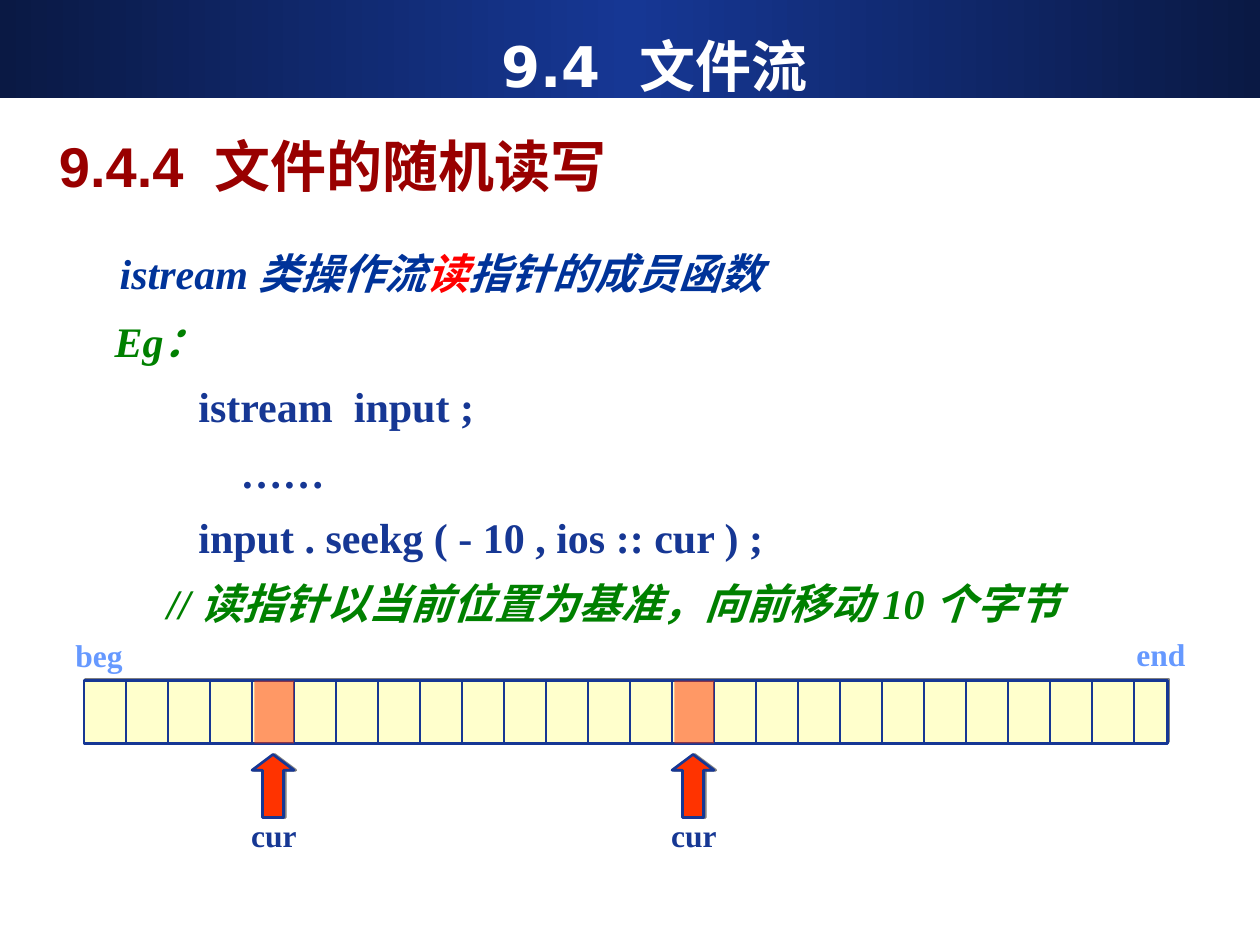
import copy

import pptx
import pptx.dml.color
import pptx.enum.shapes
import pptx.enum.text
import pptx.oxml
import pptx.oxml.ns
import pptx.util

Cm = pptx.util.Cm
Pt = pptx.util.Pt
SHAPE = pptx.enum.shapes.MSO_SHAPE
ALIGN = pptx.enum.text.PP_ALIGN
ANCHOR = pptx.enum.text.MSO_ANCHOR
AUTO = pptx.enum.text.MSO_AUTO_SIZE

COLORS = {
    "navy": "163794", "night": "0A1944", "white": "FFFFFF", "cream": "FFFFCC",
    "blue": "003399", "red": "FF0000", "green": "008000", "maroon": "990000",
    "sky": "6699FF", "orange": "FF3300", "gray": "808080",
}
SERIF = "Times New Roman"
CELL = 2.54 / 3
STRIP_LEFT, STRIP_TOP, STRIP_WIDTH, STRIP_HEIGHT = 2 * CELL, 13.72, 21.84, 1.27
CELL_COUNT = 26


def rgb(name):
    """Return the named colour."""
    return pptx.dml.color.RGBColor.from_string(COLORS[name])


def apply(target, values):
    """Set each attribute of the target from a dict."""
    for key, value in values.items():
        setattr(target, key, value)


class SlideBuilder:
    """Holds the slide, its style and the shapes being added to."""

    def __init__(self, slide):
        self.slide = slide
        self.shapes = slide.shapes
        self.line_width = Pt(1.5)

    def start_group(self):
        """Send the next elements to a new group."""
        self.shapes = self.slide.shapes.add_group_shape().shapes

    def end_group(self):
        """Send the next elements to the slide itself."""
        self.shapes = self.slide.shapes

    def band(self, width, height):
        """Add the title band behind everything, dark at both ends."""
        band = self.shapes.add_shape(SHAPE.RECTANGLE, 0, 0, Cm(width), Cm(height))
        band.shadow.inherit = False
        band.line.fill.background()
        band.fill.gradient()
        band.fill.gradient_angle = 0
        first = band.fill.gradient_stops[0]._gs
        first.addnext(copy.deepcopy(first))
        for stop, name, position in zip(band.fill.gradient_stops,
                                        ("night", "navy", "night"), (0, 0.5, 1)):
            stop.color.rgb = rgb(name)
            stop.position = position
        self.slide.shapes._spTree.insert(2, band._element)

    def box(self, kind, left, top, width, height, fill, outlined=True,
            alpha=None, shadow=None):
        """Add a filled preset shape; shadow is (distance in pt, angle)."""
        shape = self.shapes.add_shape(kind, Cm(left), Cm(top), Cm(width), Cm(height))
        shape.shadow.inherit = False
        shape.fill.solid()
        shape.fill.fore_color.rgb = rgb(fill)
        if outlined:
            shape.line.color.rgb = rgb("navy")
            shape.line.width = self.line_width
        else:
            shape.line.fill.background()
        properties = shape._element.spPr
        if alpha is not None:
            color = properties.find(".//" + pptx.oxml.ns.qn("a:srgbClr"))
            self.add_xml(color, f'<a:alpha {{ns}} val="{alpha * 1000}"/>')
        if shadow:
            distance, angle = shadow
            effects = properties.find(pptx.oxml.ns.qn("a:effectLst"))
            self.add_xml(effects, f'<a:outerShdw {{ns}} dist="{int(Pt(distance))}" '
                         f'dir="{angle * 60000}" algn="ctr" rotWithShape="0">'
                         f'<a:srgbClr val="{COLORS["gray"]}"/></a:outerShdw>')
        return shape

    def add_xml(self, parent, markup):
        """Append a drawing element to the parent."""
        parent.append(pptx.oxml.parse_xml(
            markup.replace("{ns}", pptx.oxml.ns.nsdecls("a"))))

    def divider(self, x, top, bottom):
        """Add a vertical line."""
        line = self.shapes.add_connector(pptx.enum.shapes.MSO_CONNECTOR.STRAIGHT,
                                         Cm(x), Cm(top), Cm(x), Cm(bottom))
        line.line.color.rgb = rgb("navy")
        line.line.width = self.line_width
        self.add_xml(line._element.spPr, "<a:effectLst {ns}/>")

    def text(self, place, lines, font, paragraph=None, holder=None, **frame):
        """Write lines of (indent, [(text, colour, italic), ...])."""
        left, top, width, height = (Cm(value) for value in place)
        holder = holder or self.shapes.add_textbox(left, top, width, height)
        apply(holder, {"left": left, "top": top, "width": width, "height": height})
        apply(holder.text_frame, {
            "word_wrap": False, "auto_size": AUTO.SHAPE_TO_FIT_TEXT,
            "margin_left": Cm(0.25), "margin_right": Cm(0.25),
            "margin_top": Cm(0.13), "margin_bottom": Cm(0.13), **frame})
        for number, (indent, runs) in enumerate(lines):
            line = (holder.text_frame.add_paragraph() if number
                    else holder.text_frame.paragraphs[0])
            apply(line, {"alignment": ALIGN.LEFT, **(paragraph or {})})
            if indent:
                line._p.get_or_add_pPr().set("marL", str(int(Cm(indent))))
            for words, color, italic in runs:
                run = line.add_run()
                run.text = words
                apply(run.font, {"bold": True, "italic": italic, **font})
                run.font.color.rgb = rgb(color)


def draw_strip(builder):
    """Draw the row of bytes and the labels of its two ends."""
    builder.start_group()
    builder.box(SHAPE.RECTANGLE, STRIP_LEFT, STRIP_TOP, STRIP_WIDTH, STRIP_HEIGHT,
                "cream", shadow=(1.4, 315))
    for number in range(1, CELL_COUNT):
        builder.divider(STRIP_LEFT + number * CELL, STRIP_TOP, STRIP_TOP + STRIP_HEIGHT)
    for label, left, top in (("beg", 1.27, 12.7), ("end", 22.66, 12.67)):
        builder.text((left, top, 1.7, 1.02), [(0, [(label, "sky", False)])],
                     {"name": SERIF, "size": Pt(18)},
                     {"space_before": Pt(11.2)}, word_wrap=True)
    builder.end_group()


def draw_pointer(builder, cell):
    """Mark one cell of the strip and point at it from below."""
    left = STRIP_LEFT + cell * CELL
    builder.start_group()
    arrow = builder.box(SHAPE.UP_ARROW, left, 15.21, CELL, 1.27, "orange",
                        shadow=(1, 0))
    arrow.adjustments[0], arrow.adjustments[1] = 0.5, 0.375
    builder.box(SHAPE.RECTANGLE, left + 0.05, STRIP_TOP, CELL - 0.05, STRIP_HEIGHT,
                "orange", outlined=False, alpha=50)
    builder.text((left - 0.27, 16.46, 1.42, 0.86), [(0, [("cur", "navy", False)])],
                 {"name": SERIF, "size": Pt(18)},
                 {"alignment": ALIGN.CENTER, "line_spacing": 0.8})
    builder.end_group()


def main():
    """Build the slide and save it."""
    deck = pptx.Presentation()
    apply(deck, {"slide_width": Cm(25.4), "slide_height": Cm(19.05)})
    slide = deck.slides.add_slide(deck.slide_layouts[5])
    builder = SlideBuilder(slide)
    builder.band(25.4, 1.98)

    code_font = {"name": SERIF, "size": Pt(24)}
    builder.text((2.06, 5.92, 20.19, 6.86), [
        (0, [("Eg：", "green", True)]),
        (1.69, [("istream  input ;", "navy", False)]),
        (2.54, [("……", "navy", False)]),
        (1.69, [("input . seekg ( - 10 , ios :: cur ) ;", "navy", False)]),
        (1.06, [("// 读指针以当前位置为基准，向前移动 10 个字节", "green", True)]),
    ], code_font, {"line_spacing": 1.3})

    draw_strip(builder)
    for cell in (14, 4):
        draw_pointer(builder, cell)

    builder.text((2.06, 3.94, 13.67, 2.18), [(0, [
        ("istream 类操作流", "blue", True),
        ("读", "red", True),
        ("指针的成员函数", "blue", True),
    ])], code_font, {"alignment": ALIGN.CENTER, "line_spacing": 1.9})
    builder.text((1.45, 0.53, 23.5, 1.57), [(0, [("9.4  文件流", "white", False)])],
                 {"name": "DejaVu Sans", "size": Pt(32)},
                 {"alignment": ALIGN.CENTER}, holder=slide.shapes.title,
                 word_wrap=True, auto_size=AUTO.NONE, vertical_anchor=ANCHOR.MIDDLE)
    builder.text((0.94, 2.51, 11.84, 1.63),
                 [(0, [("9.4.4  文件的随机读写", "maroon", False)])],
                 {"name": "Arial", "size": Pt(32)}, vertical_anchor=ANCHOR.MIDDLE)
    deck.save("out.pptx")


main()
